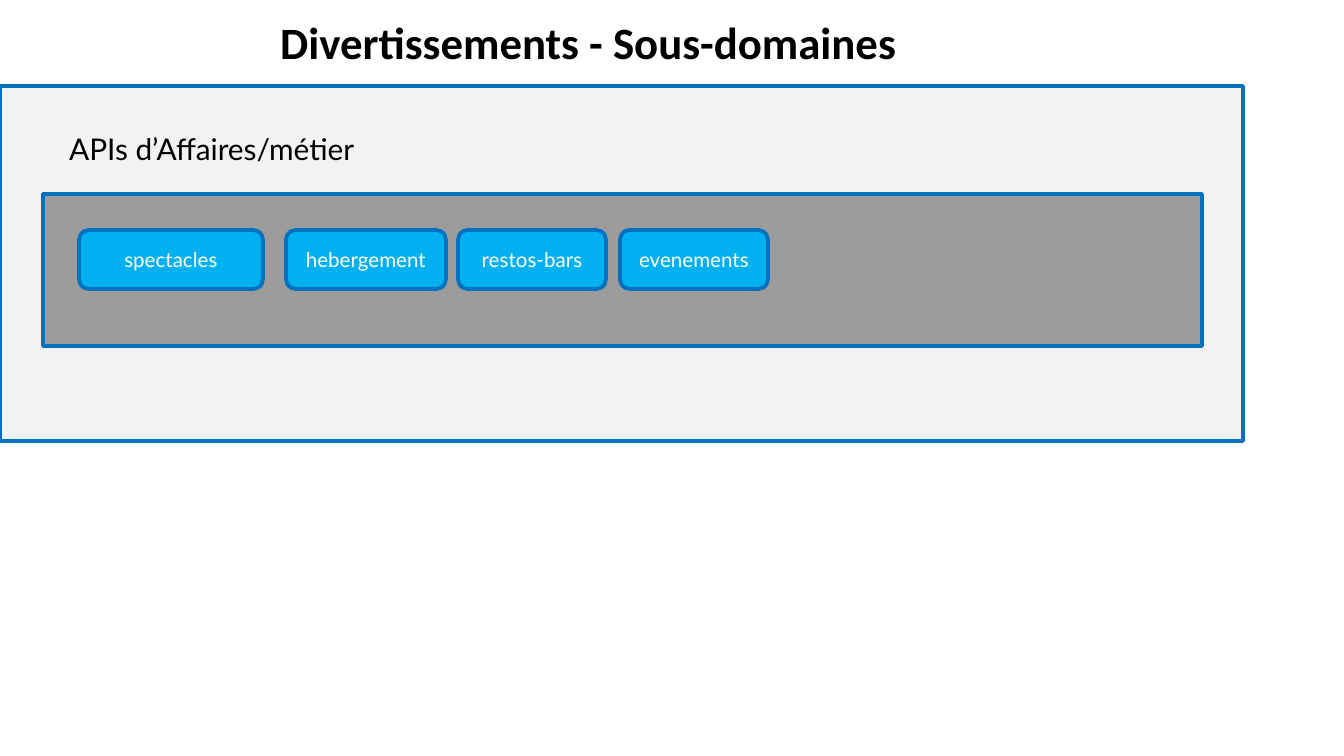
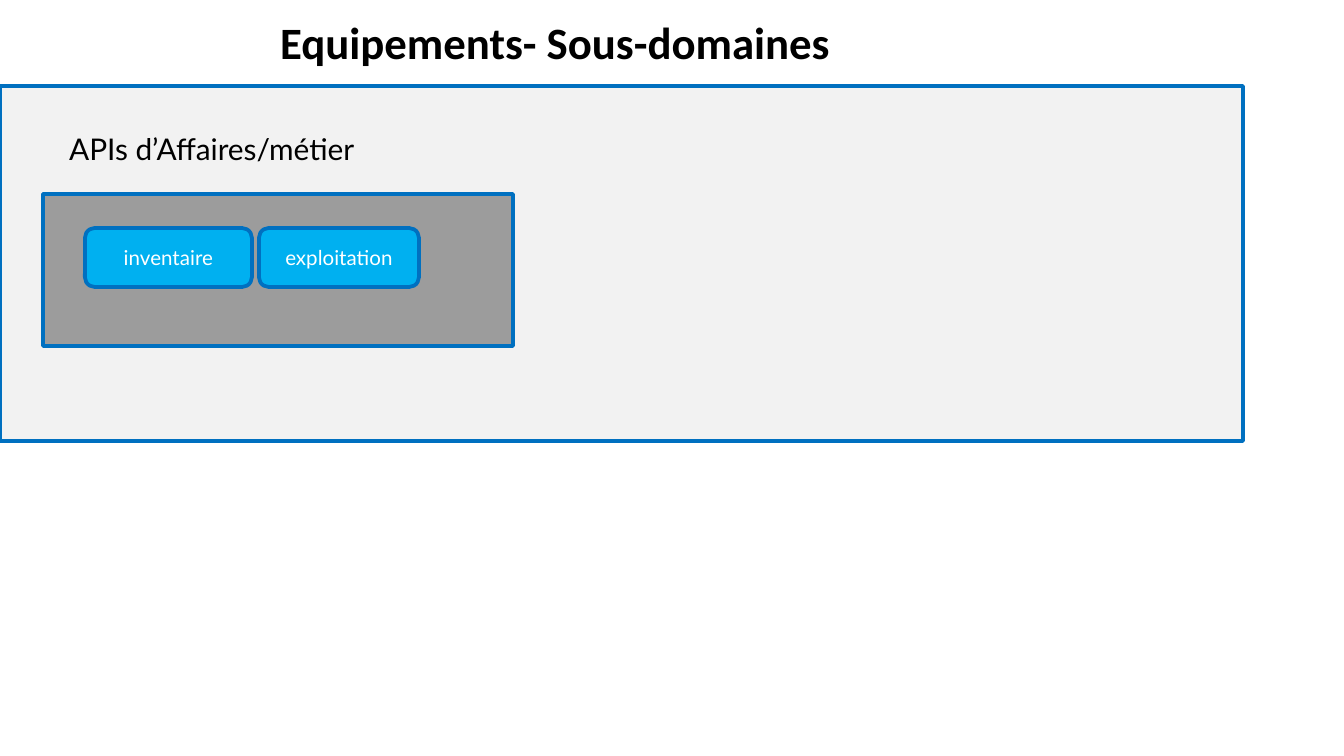
import pptx
import pptx.util
import pptx.dml.color
import pptx.enum.shapes
import pptx.enum.text

PIXELS_PER_INCH = 134.4
SLIDE_WIDTH, SLIDE_HEIGHT = 1344, 756

BLACK, WHITE = "000000", "FFFFFF"
BORDER_BLUE, CHIP_BLUE = "0070C0", "00B0F0"
PANEL_GREY, CATALOGUE_GREY = "F2F2F2", "9C9C9C"
TITLE_FONT, BODY_FONT = "Calibri", "Lato"

TITLE_BOX = (267, 8, 1019, 101)
PANEL_BOX = (0, 86, 1243, 355)
CHIP_HEIGHT = 59

RECTANGLE = pptx.enum.shapes.MSO_SHAPE.RECTANGLE
ROUNDED = pptx.enum.shapes.MSO_SHAPE.ROUNDED_RECTANGLE


def emu(pixels):
    """Turn pixels into EMU."""
    return pptx.util.Inches(pixels / PIXELS_PER_INCH)


def color(hex_string):
    """Turn a hex string into a colour."""
    return pptx.dml.color.RGBColor.from_string(hex_string)


def write(shape, text, font_name, size, text_color, bold=False):
    """Put one formatted line of text into a shape."""
    paragraph = shape.text_frame.paragraphs[0]
    paragraph.text = text
    font = paragraph.runs[0].font
    font.name = font_name
    font.size = pptx.util.Pt(size)
    font.bold = bold
    font.color.rgb = color(text_color)
    return paragraph


def add_block(slide, preset, box, fill):
    """Draw a filled shape with the shared blue border."""
    shape = slide.shapes.add_shape(preset, *map(emu, box))
    shape.shadow.inherit = False
    shape.fill.solid()
    shape.fill.fore_color.rgb = color(fill)
    shape.line.color.rgb = color(BORDER_BLUE)
    shape.line.width = pptx.util.Pt(2)
    return shape


def add_title(slide, box, text):
    """Write the slide title."""
    shape = slide.shapes.add_textbox(*map(emu, box))
    shape.text_frame.word_wrap = True
    write(shape, text, TITLE_FONT, 24, BLACK, bold=True)


def add_label(slide, box, text):
    """Write the panel heading on one line."""
    shape = slide.shapes.add_textbox(*map(emu, box))
    shape.text_frame.word_wrap = False
    shape.text_frame.auto_size = pptx.enum.text.MSO_AUTO_SIZE.SHAPE_TO_FIT_TEXT
    write(shape, text, BODY_FONT, 16, BLACK)


def add_chip(slide, box, text):
    """Draw one sub-domain as a rounded chip."""
    shape = add_block(slide, ROUNDED, box, CHIP_BLUE)
    shape.text_frame.vertical_anchor = pptx.enum.text.MSO_ANCHOR.MIDDLE
    paragraph = write(shape, text, BODY_FONT, 11, WHITE)
    paragraph.alignment = pptx.enum.text.PP_ALIGN.CENTER


def add_catalogue(slide, box, chip_top, chips):
    """Draw the grey catalogue and its row of chips (name, left, width)."""
    left, top = box[:2]
    add_block(slide, RECTANGLE, box, CATALOGUE_GREY)
    for name, chip_left, chip_width in chips:
        chip_box = (left + chip_left, top + chip_top, chip_width, CHIP_HEIGHT)
        add_chip(slide, chip_box, name)


def add_panel(slide, box, catalogue_width, chip_top, chips):
    """Draw the panel with its heading and catalogue."""
    left, top = box[:2]
    add_block(slide, RECTANGLE, box, PANEL_GREY)
    catalogue_box = (left + 43, top + 108, catalogue_width, 152)
    add_catalogue(slide, catalogue_box, chip_top, chips)
    add_label(slide, (left + 56, top + 38, 314, 50), "APIs d’Affaires/métier")


def add_domain_slide(presentation, title, catalogue_width, chip_top, chips):
    """Add a slide for one business domain."""
    slide = presentation.slides.add_slide(presentation.slide_layouts[6])
    slide.background.fill.solid()
    slide.background.fill.fore_color.rgb = color(WHITE)
    add_panel(slide, PANEL_BOX, catalogue_width, chip_top, chips)
    add_title(slide, TITLE_BOX, title)


presentation = pptx.Presentation()
presentation.slide_width = emu(SLIDE_WIDTH)
presentation.slide_height = emu(SLIDE_HEIGHT)

add_domain_slide(presentation, "Divertissements - Sous-domaines", 1159, 36, [
    ("spectacles", 36, 184),
    ("hebergement", 243, 160),
    ("restos-bars", 415, 148),
    ("evenements", 577, 148),
])
add_domain_slide(presentation, "Equipements- Sous-domaines", 470, 34, [
    ("inventaire", 42, 167),
    ("exploitation", 216, 160),
])

presentation.save("out.pptx")
